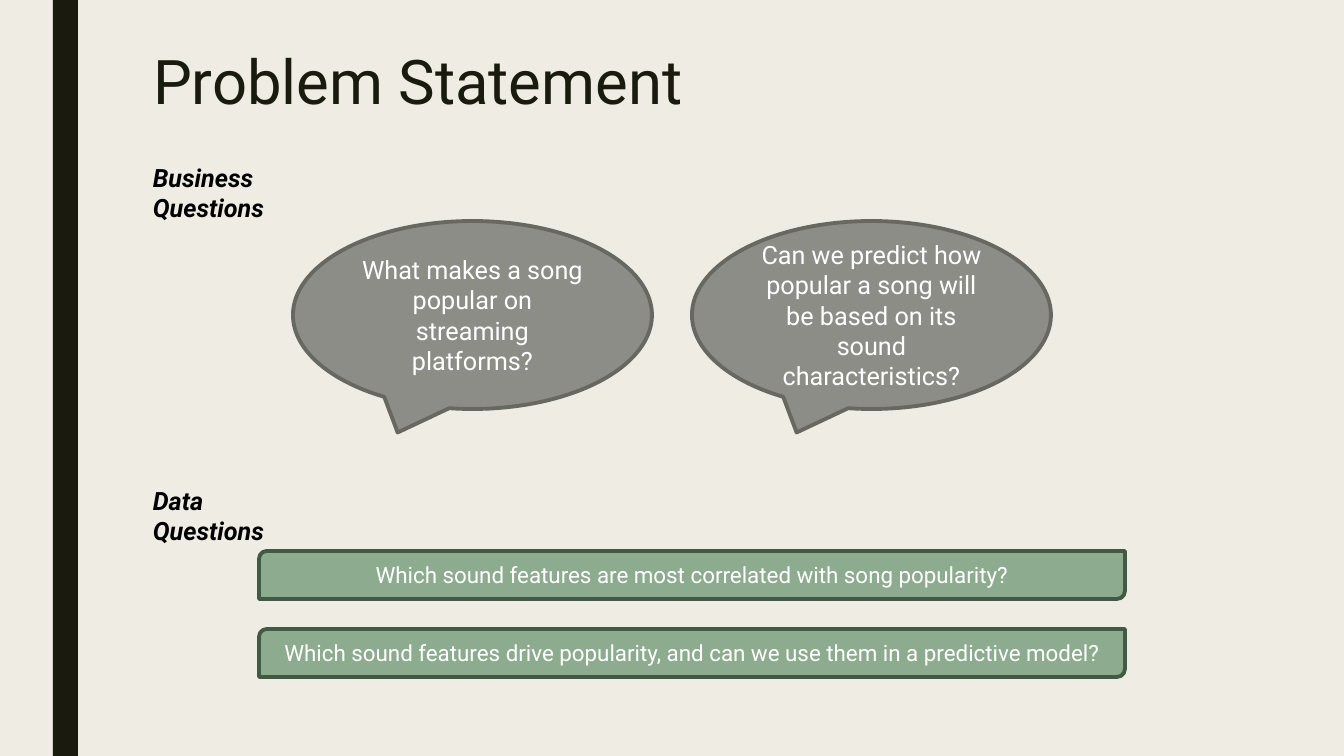
from pptx import Presentation
from pptx import util as u
from pptx.dml.color import RGBColor
from pptx.enum import shapes, text

PX = 914400 / 100.8
THEME = {
    "font": "Roboto",
    "paper": "EFEDE3", "dark": "191B0E", "black": "000000", "white": "FFFFFF",
    "gray": "8C8D86", "gray_edge": "686863",
    "green": "8DAB8E", "green_edge": "425A43",
    "title": 44, "body": 18, "bar": 16, "edge": 2.75,
}


def box(*sizes):
    return [u.Emu(round(n * PX)) for n in sizes]


def write(shape, words, size, color, align, bold=False):
    frame = shape.text_frame
    frame.text = words
    frame.word_wrap = True
    para = frame.paragraphs[0]
    para.alignment = align
    font = para.runs[0].font
    font.name = THEME["font"]
    font.size = u.Pt(THEME[size])
    font.color.rgb = RGBColor.from_string(THEME[color])
    font.bold = font.italic = bold
    return frame


deck = Presentation()
deck.slide_width, deck.slide_height = box(1344, 756)
slide = deck.slides.add_slide(deck.slide_layouts[5])
slide.background.fill.solid()
slide.background.fill.fore_color.rgb = RGBColor.from_string(THEME["paper"])

# Side stripe
stripe = slide.shapes.add_shape(shapes.MSO_SHAPE.RECTANGLE, *box(53, 0, 25, 756))
stripe.shadow.inherit = False
stripe.fill.solid()
stripe.fill.fore_color.rgb = RGBColor.from_string(THEME["dark"])
stripe.line.fill.background()

# Title
title = slide.shapes.title
title.left, title.top, title.width, title.height = box(143, 47, 1058, 93)
frame = write(title, "Problem Statement", "title", "dark", text.PP_ALIGN.LEFT)
frame.vertical_anchor = text.MSO_ANCHOR.TOP
frame.auto_size = text.MSO_AUTO_SIZE.NONE
frame.paragraphs[0].line_spacing = 0.89

# Section labels
for top, words in [(157, "Business Questions"), (480, "Data Questions")]:
    label = slide.shapes.add_textbox(*box(143, top, 140, 70))
    write(label, words, "body", "black", text.PP_ALIGN.LEFT, bold=True)

# Speech bubbles in a row, question bars in a stack
BUBBLE = shapes.MSO_SHAPE.OVAL_CALLOUT
BAR = shapes.MSO_SHAPE.ROUND_2_DIAG_RECTANGLE
groups = [
    (BUBBLE, (293, 221, 359, 188), (399, 0), "gray", "body", [
        "What makes a song popular on streaming platforms?",
        "Can we predict how popular a song will be based on its sound characteristics?",
    ]),
    (BAR, (259, 551, 866, 48), (0, 78), "green", "bar", [
        "Which sound features are most correlated with song popularity?",
        "Which sound features drive popularity, and can we use them in a predictive model?",
    ]),
]
for kind, (left, top, wide, high), (right, down), color, size, asks in groups:
    for i, ask in enumerate(asks):
        place = box(left + i * right, top + i * down, wide, high)
        item = slide.shapes.add_shape(kind, *place)
        item.shadow.inherit = False
        item.fill.solid()
        item.fill.fore_color.rgb = RGBColor.from_string(THEME[color])
        item.line.color.rgb = RGBColor.from_string(THEME[color + "_edge"])
        item.line.width = u.Pt(THEME["edge"])
        frame = write(item, ask, size, "white", text.PP_ALIGN.CENTER)
        frame.vertical_anchor = text.MSO_ANCHOR.MIDDLE

deck.save("out.pptx")
